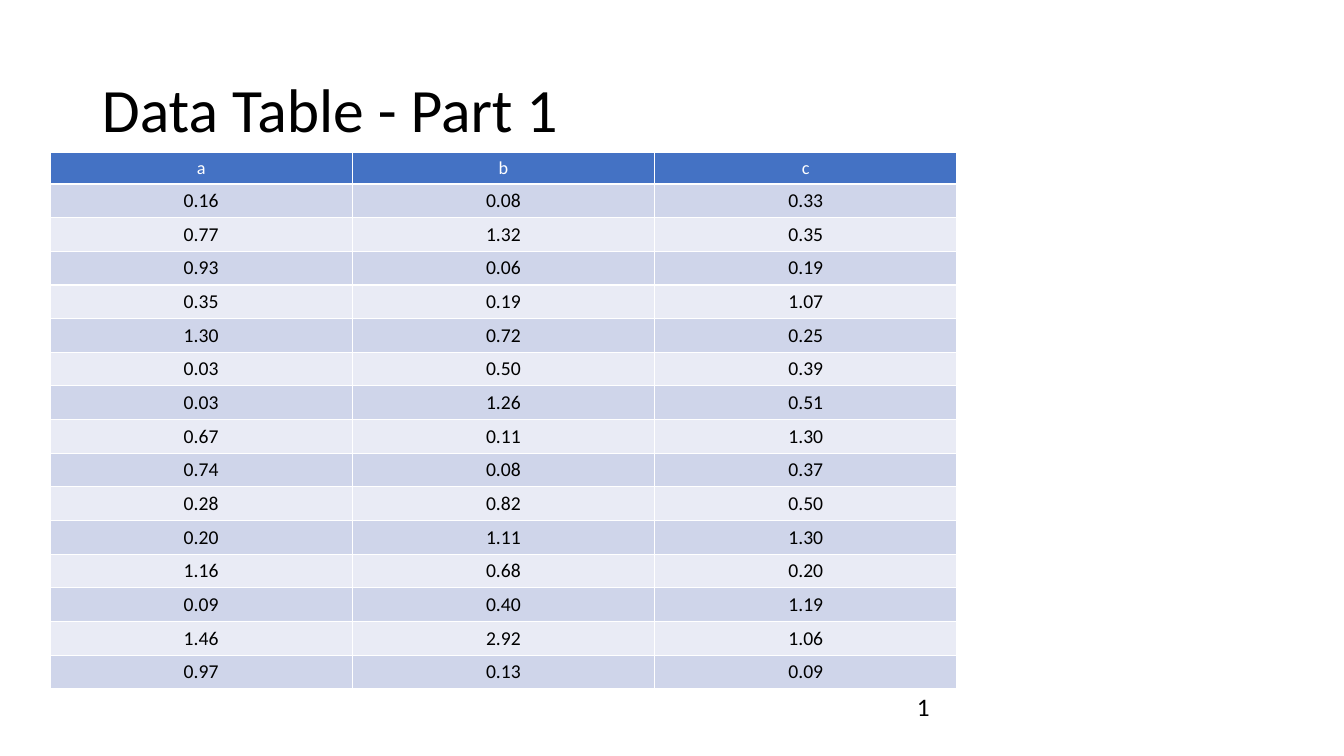
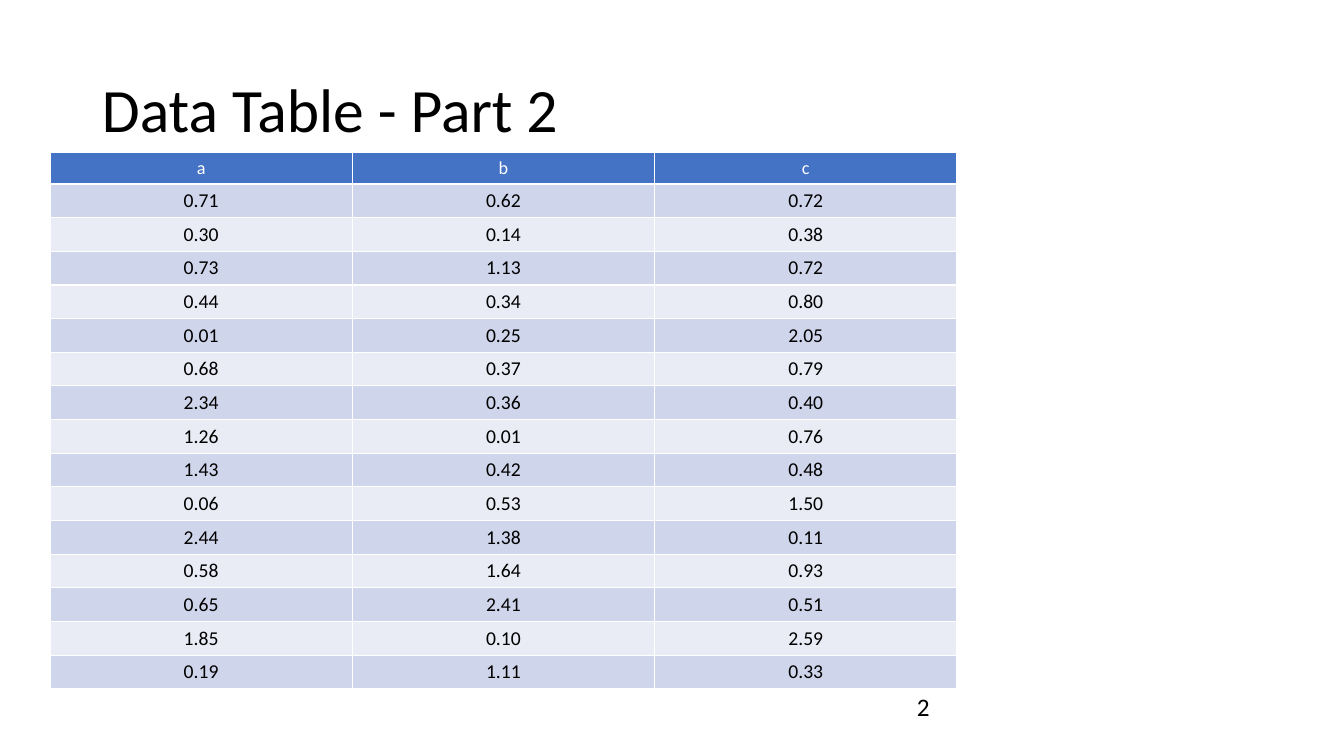
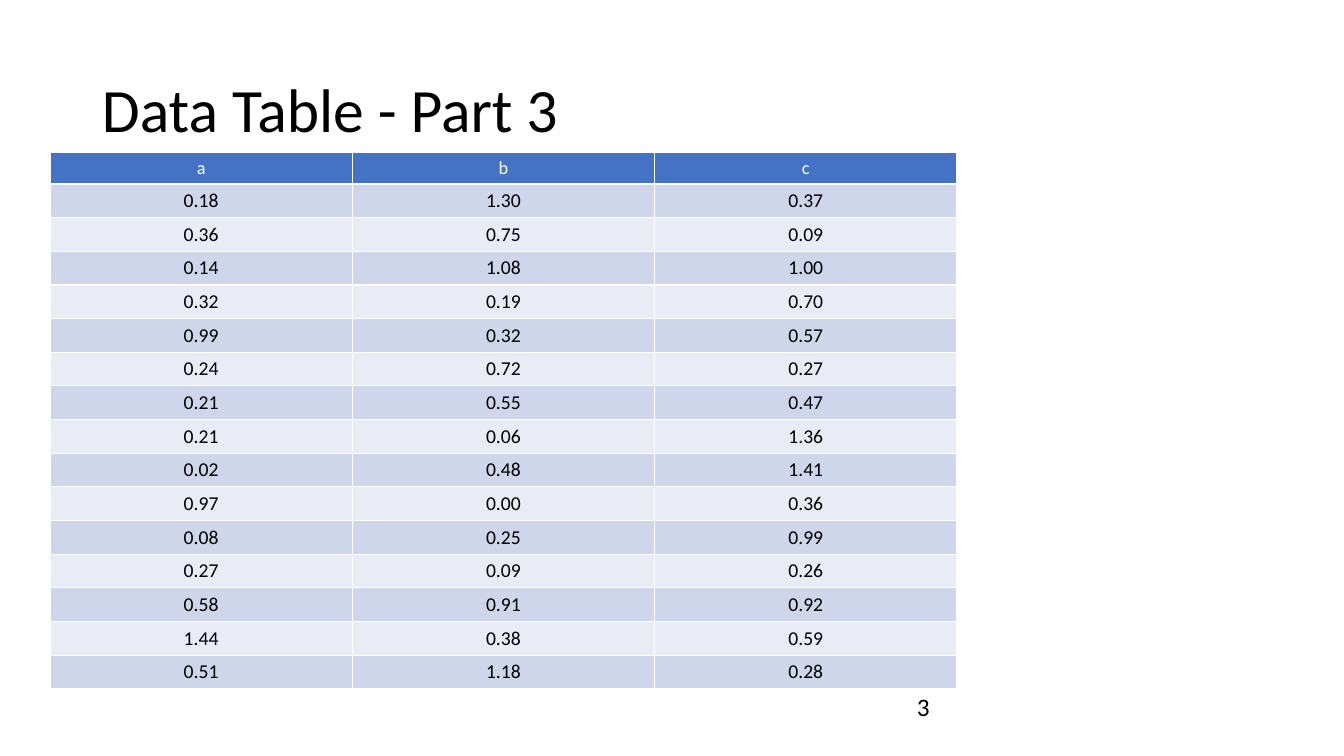
from pptx import Presentation
from pptx.dml.color import RGBColor
from pptx.enum.text import MSO_ANCHOR, PP_ALIGN
from pptx.util import Pt

MIDDLE = MSO_ANCHOR.MIDDLE
TOP = MSO_ANCHOR.TOP
LEFT = PP_ALIGN.LEFT
CENTER = PP_ALIGN.CENTER

SCALE = 914400 / 100.8
FONT = "Calibri"
COLORS = {
    "text": "000000",
    "head": "4472C4",
    "label": "FFFFFF",
    "odd": "CFD5EA",
    "even": "E9EBF5",
}

TITLE = (92, 40, 1159, 146)
TABLE = (50, 152, 907, 400)
NUMBER = (907, 655, 101, 101)

HEADS = ("a", "b", "c")
PARTS = (
    """0.16 0.08 0.33
    0.77 1.32 0.35
    0.93 0.06 0.19
    0.35 0.19 1.07
    1.30 0.72 0.25
    0.03 0.50 0.39
    0.03 1.26 0.51
    0.67 0.11 1.30
    0.74 0.08 0.37
    0.28 0.82 0.50
    0.20 1.11 1.30
    1.16 0.68 0.20
    0.09 0.40 1.19
    1.46 2.92 1.06
    0.97 0.13 0.09""",
    """0.71 0.62 0.72
    0.30 0.14 0.38
    0.73 1.13 0.72
    0.44 0.34 0.80
    0.01 0.25 2.05
    0.68 0.37 0.79
    2.34 0.36 0.40
    1.26 0.01 0.76
    1.43 0.42 0.48
    0.06 0.53 1.50
    2.44 1.38 0.11
    0.58 1.64 0.93
    0.65 2.41 0.51
    1.85 0.10 2.59
    0.19 1.11 0.33""",
    """0.18 1.30 0.37
    0.36 0.75 0.09
    0.14 1.08 1.00
    0.32 0.19 0.70
    0.99 0.32 0.57
    0.24 0.72 0.27
    0.21 0.55 0.47
    0.21 0.06 1.36
    0.02 0.48 1.41
    0.97 0.00 0.36
    0.08 0.25 0.99
    0.27 0.09 0.26
    0.58 0.91 0.92
    1.44 0.38 0.59
    0.51 1.18 0.28""",
)


def px(length):
    return round(length * SCALE)


def color(name):
    return RGBColor.from_string(COLORS[name])


def write(frame, text, size, tone="text", align=LEFT):
    line = frame.paragraphs[0]
    line.text = text
    line.alignment = align
    line.font.name = FONT
    line.font.size = Pt(size)
    line.font.bold = False
    line.font.color.rgb = color(tone)
    return line


def add_text(slide, box, text, size, anchor):
    frame = slide.shapes.add_textbox(*map(px, box)).text_frame
    frame.word_wrap = True
    frame.vertical_anchor = anchor
    write(frame, text, size)
    return frame


def add_title(slide, box, text):
    frame = add_text(slide, box, text, 44, MIDDLE)
    frame.paragraphs[0].line_spacing = 0.9


def add_number(slide, box, number):
    frame = add_text(slide, box, str(number), 18, TOP)
    frame.margin_top = px(36)


def add_data(slide, box, rows):
    table = slide.shapes.add_table(len(rows), len(HEADS), *map(px, box)).table
    for r, values in enumerate(rows):
        fill = "head" if r == 0 else "odd" if r % 2 else "even"
        size, tone = (13, "label") if r == 0 else (14, "text")
        for c, value in enumerate(values):
            cell = table.cell(r, c)
            cell.fill.solid()
            cell.fill.fore_color.rgb = color(fill)
            write(cell.text_frame, value, size, tone, CENTER)


def add_part(deck, number, data):
    slide = deck.slides.add_slide(deck.slide_layouts[6])
    rows = [HEADS] + [line.split() for line in data.splitlines()]
    add_title(slide, TITLE, f"Data Table - Part {number}")
    add_data(slide, TABLE, rows)
    add_number(slide, NUMBER, number)


deck = Presentation()
deck.slide_width = px(1344)
deck.slide_height = px(756)
for number, data in enumerate(PARTS, 1):
    add_part(deck, number, data)
deck.save("out.pptx")
